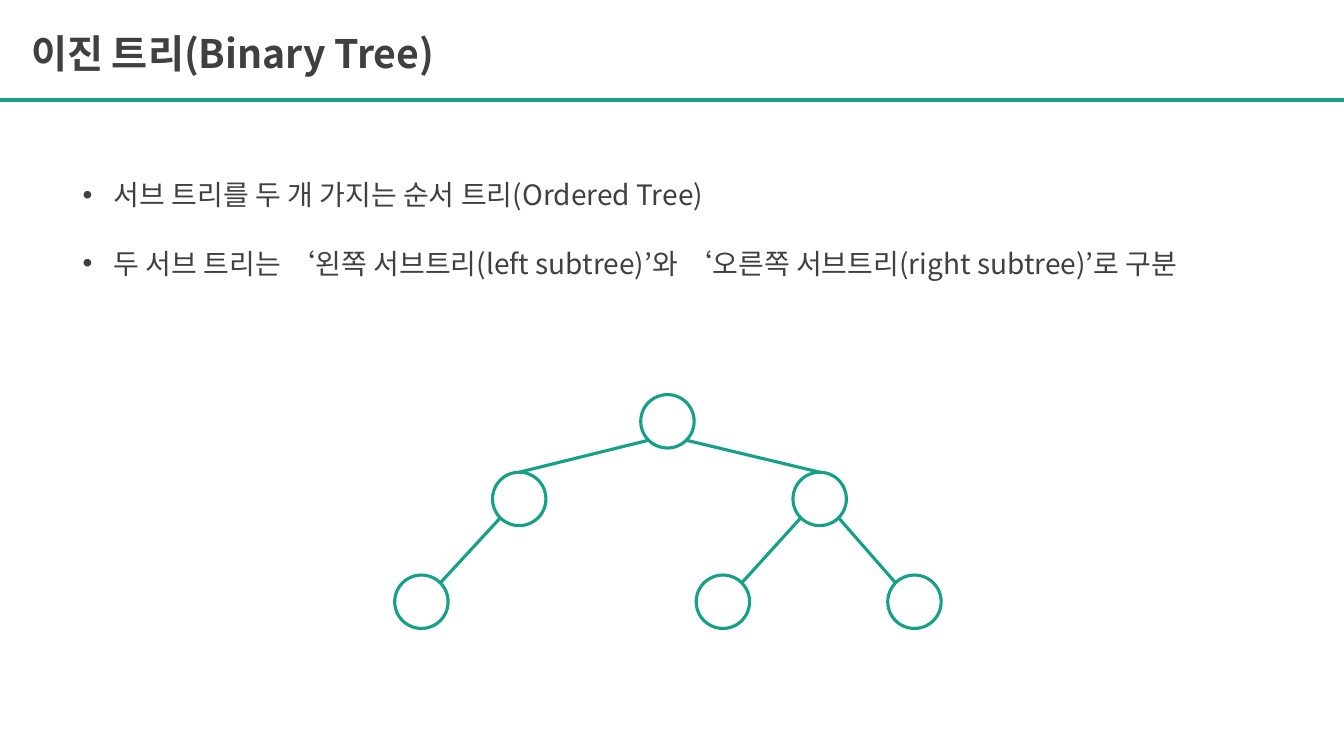
import math

from lxml import etree
from pptx import Presentation
from pptx.dml.color import RGBColor
from pptx.enum import shapes, text
from pptx.oxml.ns import qn
from pptx.util import Inches, Pt

GREEN = RGBColor(0x16, 0xA0, 0x85)
GRAY = RGBColor(0x40, 0x40, 0x40)
FONT = "Noto Sans CJK KR"
LINE_HEIGHT = 1.22  # multiple of the text size

presentation = Presentation()
presentation.slide_width = Inches(13.33)
presentation.slide_height = Inches(7.5)
slide = presentation.slides.add_slide(presentation.slide_layouts[6])


def add_line(start, end, width):
    line = slide.shapes.add_connector(
        shapes.MSO_CONNECTOR.STRAIGHT, *[Inches(value) for value in (*start, *end)])
    line.line.color.rgb = GREEN
    line.line.width = Pt(width)
    etree.SubElement(line._element.spPr, qn("a:effectLst"))


def add_text(box, lines, size, bold=False, bulleted=False):
    frame = slide.shapes.add_textbox(*[Inches(value) for value in box]).text_frame
    frame.word_wrap = True
    frame.vertical_anchor = text.MSO_ANCHOR.TOP
    for index, content in enumerate(lines):
        paragraph = frame.add_paragraph() if index else frame.paragraphs[0]
        paragraph.line_spacing = Pt(size * LINE_HEIGHT)
        if index:
            paragraph.space_before = Pt(size * LINE_HEIGHT)
        if bulleted:
            properties = paragraph._p.get_or_add_pPr()
            properties.set("marL", str(Inches(0.31)))
            properties.set("indent", str(-Inches(0.31)))
            etree.SubElement(properties, qn("a:buFont"), typeface="Arial")
            etree.SubElement(properties, qn("a:buChar"), char="•")
        run = paragraph.add_run()
        run.text = content
        run.font.size = Pt(size)
        run.font.bold = bold
        run.font.color.rgb = GRAY
        run.font.name = FONT
        etree.SubElement(run._r.get_or_add_rPr(), qn("a:ea"), typeface=FONT)


# Title and rule
add_text((0.21, 0.23, 10.15, 0.57), ["이진 트리(Binary Tree)"], 28, bold=True)
add_line((0, 0.99), (13.33, 0.99), 3)

# Definition
add_text((0.72, 1.71, 11.42, 1.45), [
    "서브 트리를 두 개 가지는 순서 트리(Ordered Tree)",
    "두 서브 트리는 ‘왼쪽 서브트리(left subtree)’와 ‘오른쪽 서브트리(right subtree)’로 구분",
], 20, bulleted=True)

# Tree nodes, by centre
RADIUS = 0.265
DIAGONAL = RADIUS * math.sqrt(0.5)
nodes = {
    "root": (6.62, 4.18),
    "left": (5.15, 4.95),
    "right": (8.13, 4.95),
    "left.left": (4.18, 5.97),
    "right.left": (7.17, 5.97),
    "right.right": (9.07, 5.97),
}
for x, y in nodes.values():
    node = slide.shapes.add_shape(
        shapes.MSO_SHAPE.OVAL, Inches(x - RADIUS), Inches(y - RADIUS),
        Inches(2 * RADIUS), Inches(2 * RADIUS))
    node.shadow.inherit = False
    node.fill.background()
    node.line.color.rgb = GREEN
    node.line.width = Pt(2.25)

# Edges leave a parent diagonally; the root's children are met at their top
edges = [("root", "left"), ("root", "right"), ("left", "left.left"),
         ("right", "right.left"), ("right", "right.right")]
for parent, child in edges:
    parent_x, parent_y = nodes[parent]
    child_x, child_y = nodes[child]
    toward_child = math.copysign(DIAGONAL, child_x - parent_x)
    start = (parent_x + toward_child, parent_y + DIAGONAL)
    if parent == "root":
        end = (child_x, child_y - RADIUS)
    else:
        end = (child_x - toward_child, child_y - DIAGONAL)
    add_line(start, end, 2.25)

presentation.save("out.pptx")
